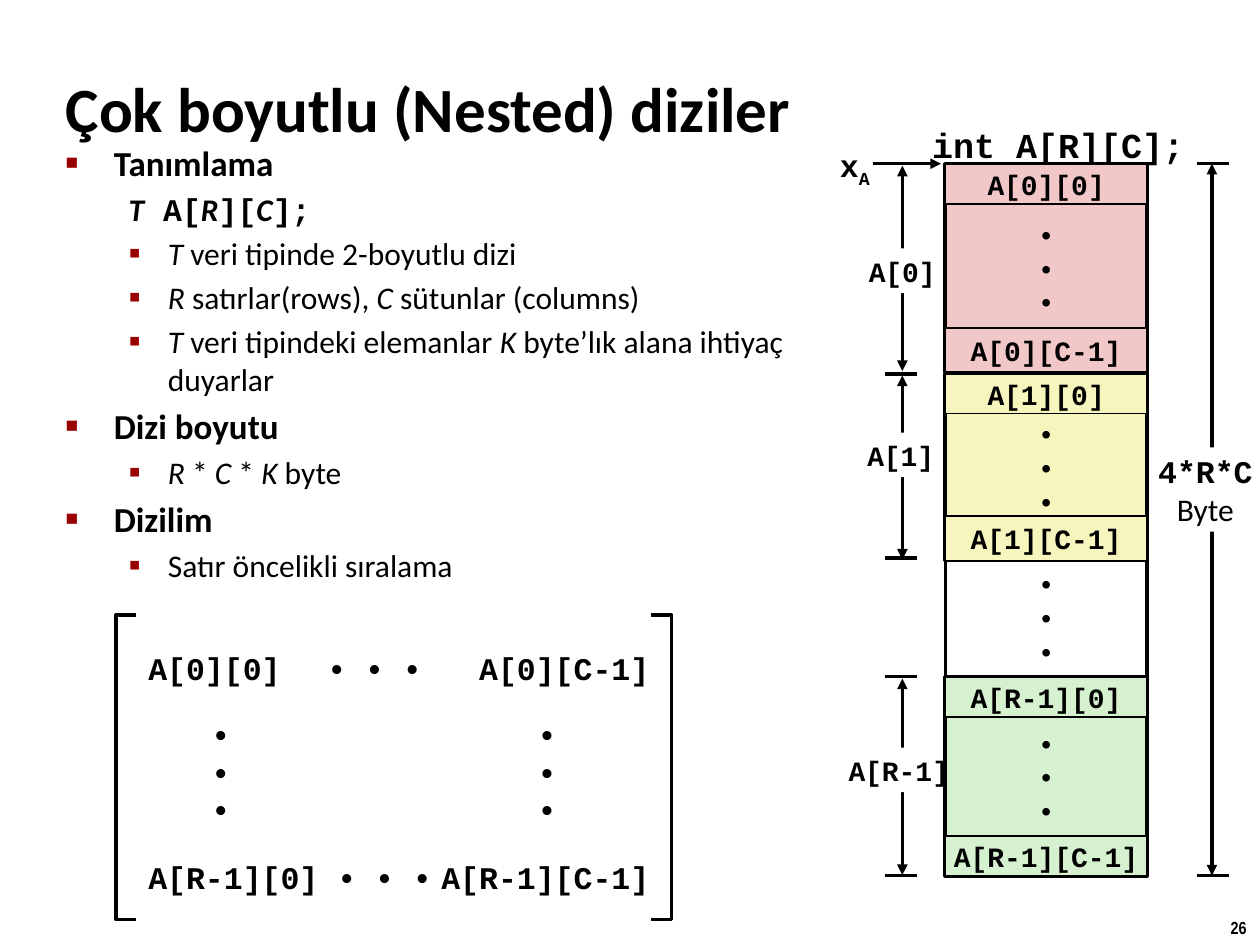
from dataclasses import dataclass

from lxml import etree
from pptx import Presentation
from pptx.dml.color import RGBColor
from pptx.enum.shapes import MSO_CONNECTOR, MSO_SHAPE
from pptx.enum.text import MSO_ANCHOR, MSO_AUTO_SIZE, PP_ALIGN
from pptx.oxml.ns import qn
from pptx.util import Cm, Pt

LEFT, MID, RIGHT = PP_ALIGN.LEFT, PP_ALIGN.CENTER, PP_ALIGN.RIGHT
RECT, LINE = MSO_SHAPE.RECTANGLE, MSO_CONNECTOR.STRAIGHT
CENTRE, FIXED = MSO_ANCHOR.MIDDLE, MSO_AUTO_SIZE.NONE
CODE, BODY = "Courier New", "Calibri"
HUES = {"ink": "000000", "paper": "FFFFFF", "mark": "990000",
        "red": "F1C7C7", "gold": "F6F5BD", "green": "D5F1CF"}
DOTS = "•\n•\n•"
COL_X, COL_W = 19.06, 4.06


@dataclass
class Band:
    """One row of the array inside the memory column."""
    row: str
    hue: str
    top: float
    tall: float
    foot: float
    tag_x: float
    tag_y: float
    tag_w: float


@dataclass
class Item:
    """One list line; each bit is text plus a style: b, i, c(ode)."""
    level: int
    bits: list
    mark: bool = True


BANDS = [Band("0", "red", 3.31, 4.19, 0.89, 18.19, 5.46, 1.68),
         Band("1", "gold", 7.54, 3.76, 0.89, 18.16, 9.17, 1.68),
         Band("R-1", "green", 13.65, 4.01, 0.81, 18.12, 15.52, 2.03)]

ITEMS = [
    Item(0, [("Tanımlama", "b")]),
    Item(1, [("T", "bi"), (" A[", "bc"), ("R", "bi"), ("][", "bc"),
             ("C", "bi"), ("];", "bc")], mark=False),
    Item(1, [("T", "i"), (" veri tipinde 2-boyutlu dizi", "")]),
    Item(1, [("R ", "i"), ("satırlar(rows), ", ""), ("C ", "i"),
             ("sütunlar (columns)", "")]),
    Item(1, [("T ", "i"), ("veri tipindeki elemanlar ", ""), ("K", "i"),
             (" byte’lık alana ihtiyaç duyarlar", "")]),
    Item(0, [("Dizi boyutu", "b")]),
    Item(1, [("R", "i"), (" * ", ""), ("C ", "i"), ("* ", ""), ("K ", "i"),
             ("byte", "")]),
    Item(0, [("Dizilim", "b")]),
    Item(1, [("Satır öncelikli sıralama", "")]),
]


def tint(name: str) -> RGBColor:
    return RGBColor.from_string(HUES[name])


def style(run, size: float, font: str = CODE, bold: bool = True) -> None:
    run.font.size, run.font.name, run.font.bold = Pt(size), font, bold
    run.font.color.rgb = tint("ink")


def write(frame, text: str, size: float, align=MID, font: str = CODE,
          bold: bool = True) -> None:
    frame.text = text
    frame.word_wrap = False
    for para in frame.paragraphs:
        para.alignment = align
        for run in para.runs:
            style(run, size, font, bold)


def place(shape, x: float, y: float, w: float, h: float) -> None:
    shape.left, shape.top, shape.width, shape.height = map(Cm, (x, y, w, h))


def note(slide, x: float, y: float, w: float, h: float, text: str,
         size: float, align=MID, font: str = CODE):
    box = slide.shapes.add_textbox(Cm(x), Cm(y), Cm(w), Cm(h))
    write(box.text_frame, text, size, align, font)
    return box.text_frame


def cell(slide, x: float, y: float, w: float, h: float, text: str,
         size: float = 16, hue: str = "paper", edge: float = 0,
         align=MID, bold: bool = True):
    box = slide.shapes.add_shape(RECT, Cm(x), Cm(y), Cm(w), Cm(h))
    box.shadow.inherit = False
    box.fill.solid()
    box.fill.fore_color.rgb = tint(hue)
    if edge:
        box.line.color.rgb = tint("ink")
        box.line.width = Pt(edge)
    else:
        box.line.fill.background()
    box.text_frame.vertical_anchor = CENTRE
    write(box.text_frame, text, size, align, bold=bold)
    return box.text_frame


def rule(slide, x: float, y: float, x2: float, y2: float,
         ends: tuple = ()) -> None:
    line = slide.shapes.add_connector(LINE, Cm(x), Cm(y), Cm(x2), Cm(y2))
    line.line.color.rgb = tint("ink")
    line.line.width = Pt(2)
    for end in ends:
        etree.SubElement(line.line._get_or_add_ln(), qn("a:" + end),
                         type="triangle")
    etree.SubElement(line._element.spPr, qn("a:effectLst"))


def span(slide, x: float, top: float, base: float) -> None:
    rule(slide, x, top, x, base, ("headEnd", "tailEnd"))


def ticks(slide, x: float, *rows: float) -> None:
    for y in rows:
        rule(slide, x, y, x + 0.64, y)


def block(slide, band: Band) -> None:
    base = band.top + band.tall
    span(slide, 18.19, band.top + 0.03, base - 0.02)
    cell(slide, band.tag_x - band.tag_w / 2, band.tag_y - 0.45, band.tag_w,
         0.9, f"A[{band.row}]")
    cell(slide, COL_X, band.top, COL_W, band.tall, DOTS, 16, band.hue, 2.25,
         bold=False)
    cell(slide, COL_X, band.top, COL_W, 0.8, f"A[{band.row}][0]", 16,
         band.hue, 1)
    cell(slide, COL_X, base - band.foot, COL_W, band.foot,
         f"A[{band.row}][C-1]", 16, band.hue, 1)


def brace(slide, tip: float, back: float) -> None:
    top, base = Cm(12.4), Cm(18.54)
    pen = slide.shapes.build_freeform(Cm(tip), top)
    pen.add_line_segments([(Cm(back), top), (Cm(back), base),
                           (Cm(tip), base)], close=False)
    shape = pen.convert_to_shape()
    shape.shadow.inherit = False
    shape.fill.background()
    shape.line.color.rgb = tint("ink")
    shape.line.width = Pt(2)


def bullet(para, item: Item) -> None:
    props = para._p.get_or_add_pPr()
    left, hang = ((0.97, 0.97), (2.06, 0.79))[item.level]
    props.set("marL", str(Cm(left)))
    props.set("indent", str(-Cm(hang)))
    if not item.mark:
        etree.SubElement(props, qn("a:buNone"))
        return
    shade = etree.SubElement(props, qn("a:buClr"))
    etree.SubElement(shade, qn("a:srgbClr"), val=HUES["mark"])
    etree.SubElement(props, qn("a:buSzPct"),
                     val=("60000", "110000")[item.level])
    etree.SubElement(props, qn("a:buChar"), char="■▪"[item.level])


def fill_list(frame) -> None:
    frame.auto_size = FIXED
    for i, item in enumerate(ITEMS):
        para = frame.add_paragraph() if i else frame.paragraphs[0]
        para.level = item.level
        bullet(para, item)
        size = (20, 18)[item.level]
        para.space_before = Pt(size * 0.2 if i else 0)
        for text, kind in item.bits:
            run = para.add_run()
            run.text = text
            style(run, size, CODE if "c" in kind else BODY, "b" in kind)
            run.font.italic = "i" in kind


def main() -> None:
    deck = Presentation()
    deck.slide_width, deck.slide_height = Cm(25.4), Cm(19.05)
    slide = deck.slides.add_slide(deck.slide_layouts[1])

    # Title, list and page number
    title, body = slide.placeholders
    place(title, 1.07, 1.37, 22.43, 1.6)
    write(title.text_frame, "Çok boyutlu (Nested) diziler", 36, LEFT, BODY)
    title.text_frame.auto_size = FIXED
    title.text_frame.vertical_anchor = CENTRE
    place(body, 1.07, 2.72, 15.88, 9.35)
    fill_list(body.text_frame)
    note(slide, 24.54, 18.36, 0.86, 0.69, "26", 10, font="Arial Narrow")

    # Memory column
    note(slide, 18.54, 2.36, 5.59, 1.09, "int A[R][C];", 20, RIGHT)
    cell(slide, COL_X, 11.25, COL_W, 2.39, DOTS, edge=2, bold=False)
    for band in BANDS:
        block(slide, band)
    ticks(slide, 17.84, 7.54, 11.25, 13.64, 17.65)

    # Start address
    start = note(slide, 16.31, 2.82, 1.85, 1.02, "x", 18).paragraphs[0]
    sub = start.add_run()
    sub.text = "A"
    style(sub, 18)
    sub.font._element.set("baseline", "-25000")
    rule(slide, 17.6, 3.3, 18.97, 3.3, ("tailEnd",))

    # Total size
    ticks(slide, 24.13, 3.3, 17.65)
    span(slide, 24.43, 3.3, 17.65)
    total = cell(slide, 23.32, 9.02, 1.96, 1.7, "4*R*C\nByte", 18)
    style(total.paragraphs[1].runs[0], 18, BODY, False)

    # Matrix
    for row, y, dot_x in (("0", 12.83, 6.35), ("R-1", 17.04, 6.55)):
        cell(slide, 2.74, y, 3.38, 1.27, f"A[{row}][0]", 18, align=LEFT)
        cell(slide, dot_x, y, 2.54, 1.27, "• • •", 18, align=LEFT)
        cell(slide, 9.96, y, 3.38, 1.27, f"A[{row}][C-1]", 18, align=RIGHT)
    for x in (4.01, 10.59):
        cell(slide, x, 14.5, 1.27, 2.11, DOTS, 18, align=LEFT)
    brace(slide, 2.74, 2.34)
    brace(slide, 13.13, 13.54)

    deck.save("out.pptx")


if __name__ == "__main__":
    main()
